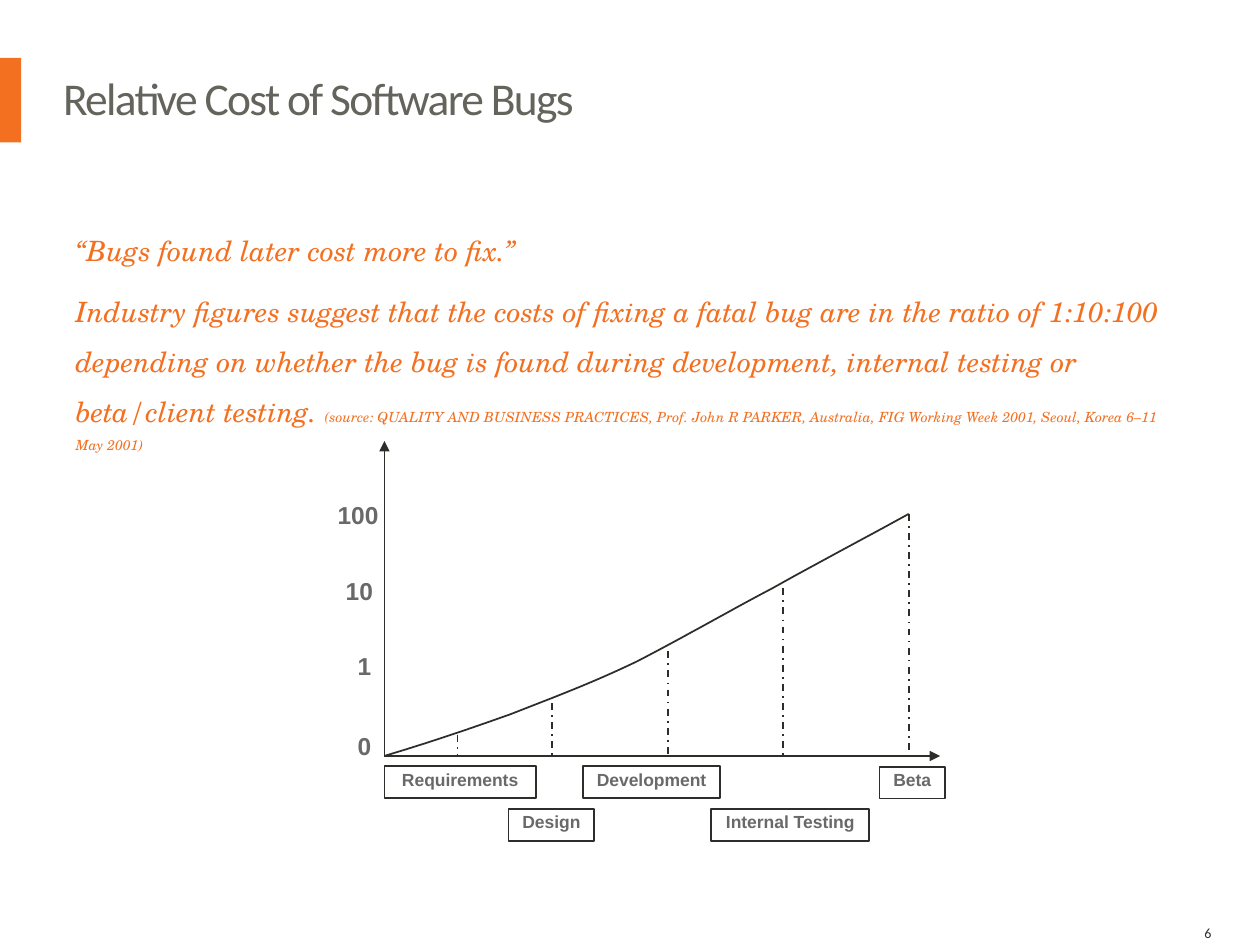
from lxml import etree
from pptx import Presentation
from pptx import util as u
from pptx.dml.color import RGBColor
from pptx.enum import dml, shapes, text
from pptx.oxml import ns

Cm, Pt = u.Cm, u.Pt
HUES = {"ink": "2D2D2A", "orange": "F37021", "title": "64645D", "label": "696969"}
BASE, LEFT = 15.24, 7.75  # origin of the axes, in cm

TITLE = {"name": "Calibri", "size": Pt(26), "bold": False}
QUOTE = {"name": "TeX Gyre Schola", "size": Pt(16), "italic": True}
SOURCE = {**QUOTE, "size": Pt(8)}
TICK = {"name": "Arial", "size": Pt(14), "bold": True}
STAGE = {**TICK, "size": Pt(10)}
PAGE = {"name": "Calibri", "size": Pt(8)}
FLUSH = {"margin_left": 0, "margin_right": 0, "margin_top": 0, "margin_bottom": 0}
SNUG = {"word_wrap": False, "auto_size": text.MSO_AUTO_SIZE.SHAPE_TO_FIT_TEXT,
        "vertical_anchor": text.MSO_ANCHOR.TOP}
MID = {"alignment": text.PP_ALIGN.CENTER, "line_spacing": 0.8}

BODY = [
    [("“Bugs found later cost more to fix.”", QUOTE)],
    [("Industry figures suggest that the costs of fixing a fatal bug are in the "
      "ratio of 1:10:100 depending on whether the bug is found during development, "
      "internal testing or beta/client testing. ", QUOTE),
     ("(source: QUALITY AND BUSINESS PRACTICES, Prof. John R PARKER, Australia, "
      "FIG Working Week 2001, Seoul, Korea 6–11 May 2001)", SOURCE)],
]
# label, left, top, width
TICKS = [("100", 6.42, 10.06, 1.6), ("10", 6.71, 11.61, 1.07),
         ("1", 6.95, 13.12, 0.79), ("0", 6.95, 14.73, 0.79)]
STAGES = [("Requirements", 7.75, 15.45, 3.05), ("Design", 10.25, 16.31, 1.73),
          ("Development", 11.75, 15.45, 2.77),
          ("Internal Testing", 14.34, 16.31, 3.18), ("Beta", 17.73, 15.46, 1.32)]
DROPS = [(9.22, 14.81), (11.13, 14.17), (13.46, 13.13), (15.78, 11.86), (18.32, 10.36)]
# start, then two handles and an end for each bend
CURVE = [(LEFT, BASE), (8.59, 14.99), (9.42, 14.71), (10.29, 14.4),
         (11.13, 14.07), (11.94, 13.77), (12.83, 13.34),
         (13.69, 12.9), (14.66, 12.34), (15.57, 11.86),
         (16.48, 11.35), (17.86, 10.62), (18.32, 10.36)]


def hue(key):
    return RGBColor.from_string(HUES[key])


def put(obj, form):
    for key, val in form.items():
        setattr(obj, key, val)


def place(shape, *box):
    put(shape, dict(zip(("left", "top", "width", "height"), map(Cm, box))))


def add_run(para, words, form, key):
    run = para.add_run()
    run.text = words
    put(run.font, form)
    run.font.color.rgb = hue(key)
    return run


def ink(line, dash=None):
    line.color.rgb = hue("ink")
    line.width = Pt(1)
    if dash:
        line.dash_style = dash


def add_line(slide, start, end, dash=None, arrow=False):
    line = slide.shapes.add_connector(
        shapes.MSO_CONNECTOR.STRAIGHT, *map(Cm, start + end))
    ink(line.line, dash)
    if arrow:
        etree.SubElement(line.line._get_or_add_ln(), ns.qn("a:tailEnd"), type="triangle")
    etree.SubElement(line._element.spPr, ns.qn("a:effectLst"))


def add_rect(slide, *box):
    rect = slide.shapes.add_shape(shapes.MSO_SHAPE.RECTANGLE, *map(Cm, box))
    rect.shadow.inherit = False
    return rect


def label(shape, words, form):
    """Centre a grey label in a shape that fits its text."""
    put(shape.text_frame, SNUG)
    para = shape.text_frame.paragraphs[0]
    put(para, MID)
    add_run(para, words, form, "label")


def add_tick(slide, words, left, top, wide):
    label(slide.shapes.add_textbox(*map(Cm, (left, top, wide, 0.74))), words, TICK)


def add_stage(slide, words, left, top, wide):
    rect = add_rect(slide, left, top, wide, 0.64)
    rect.fill.background()
    ink(rect.line)
    label(rect, words, STAGE)


def trace(knots, steps=12):
    """Points along a chain of cubic Bezier bends."""
    spots = [knots[0]]
    for i in range(0, len(knots) - 1, 3):
        for n in range(1, steps + 1):
            t = n / steps
            mix = ((1 - t) ** 3, 3 * t * (1 - t) ** 2, 3 * t * t * (1 - t), t ** 3)
            spots.append(tuple(sum(m * k[ax] for m, k in zip(mix, knots[i:i + 4]))
                               for ax in (0, 1)))
    return [(Cm(x), Cm(y)) for x, y in spots]


def add_curve(slide):
    spots = trace(CURVE)
    pen = slide.shapes.build_freeform(*spots[0])
    pen.add_line_segments(spots[1:], close=False)
    curve = pen.convert_to_shape()
    curve.shadow.inherit = False
    curve.fill.background()
    ink(curve.line)


def set_title(slide):
    title = slide.shapes.title
    place(title, 1.27, 1.3, 22.86, 1.45)
    put(title.text_frame, {**FLUSH, "vertical_anchor": text.MSO_ANCHOR.MIDDLE,
                           "auto_size": text.MSO_AUTO_SIZE.NONE})
    para = title.text_frame.paragraphs[0]
    put(para, {"alignment": text.PP_ALIGN.LEFT, "line_spacing": 0.9})
    run = add_run(para, "Relative Cost of Software Bugs", TITLE, "title")
    run.font._element.set("spc", "-100")


def set_body(slide):
    body = slide.placeholders[1]
    place(body, 1.27, 4.24, 22.86, 13.54)
    frame = body.text_frame
    frame.auto_size = text.MSO_AUTO_SIZE.NONE
    for i, parts in enumerate(BODY):
        para = frame.add_paragraph() if i else frame.paragraphs[0]
        put(para, {"line_spacing": 1.5, "space_before": Pt(6)})
        props = para._p.get_or_add_pPr()
        props.set("marL", "0")
        props.set("indent", "0")
        etree.SubElement(props, ns.qn("a:buNone"))
        for words, form in parts:
            add_run(para, words, form, "orange")


def add_frame(slide):
    """Page number and the accent bar beside the title."""
    page = slide.shapes.add_textbox(*map(Cm, (24.28, 18.64, 1.09, 0.38)))
    put(page.text_frame, {**FLUSH, "word_wrap": True})
    add_run(page.text_frame.paragraphs[0], "6", PAGE, "ink")
    bar = add_rect(slide, 0, 1.17, 0.43, 1.7)
    bar.fill.solid()
    bar.fill.fore_color.rgb = hue("orange")
    bar.line.fill.background()


def add_graph(slide):
    for end in ((LEFT, 8.89), (18.95, BASE)):
        add_line(slide, (LEFT, BASE), end, arrow=True)
    for tick in TICKS:
        add_tick(slide, *tick)
    for x, y in DROPS:
        add_line(slide, (x, y), (x, BASE), dash=dml.MSO_LINE.DASH_DOT)
    add_curve(slide)
    for stage in STAGES:
        add_stage(slide, *stage)


def main():
    deck = Presentation()
    put(deck, {"slide_width": Cm(25.4), "slide_height": Cm(19.05)})
    slide = deck.slides.add_slide(deck.slide_layouts[1])
    add_frame(slide)
    set_title(slide)
    set_body(slide)
    add_graph(slide)
    deck.save("out.pptx")


if __name__ == "__main__":
    main()
